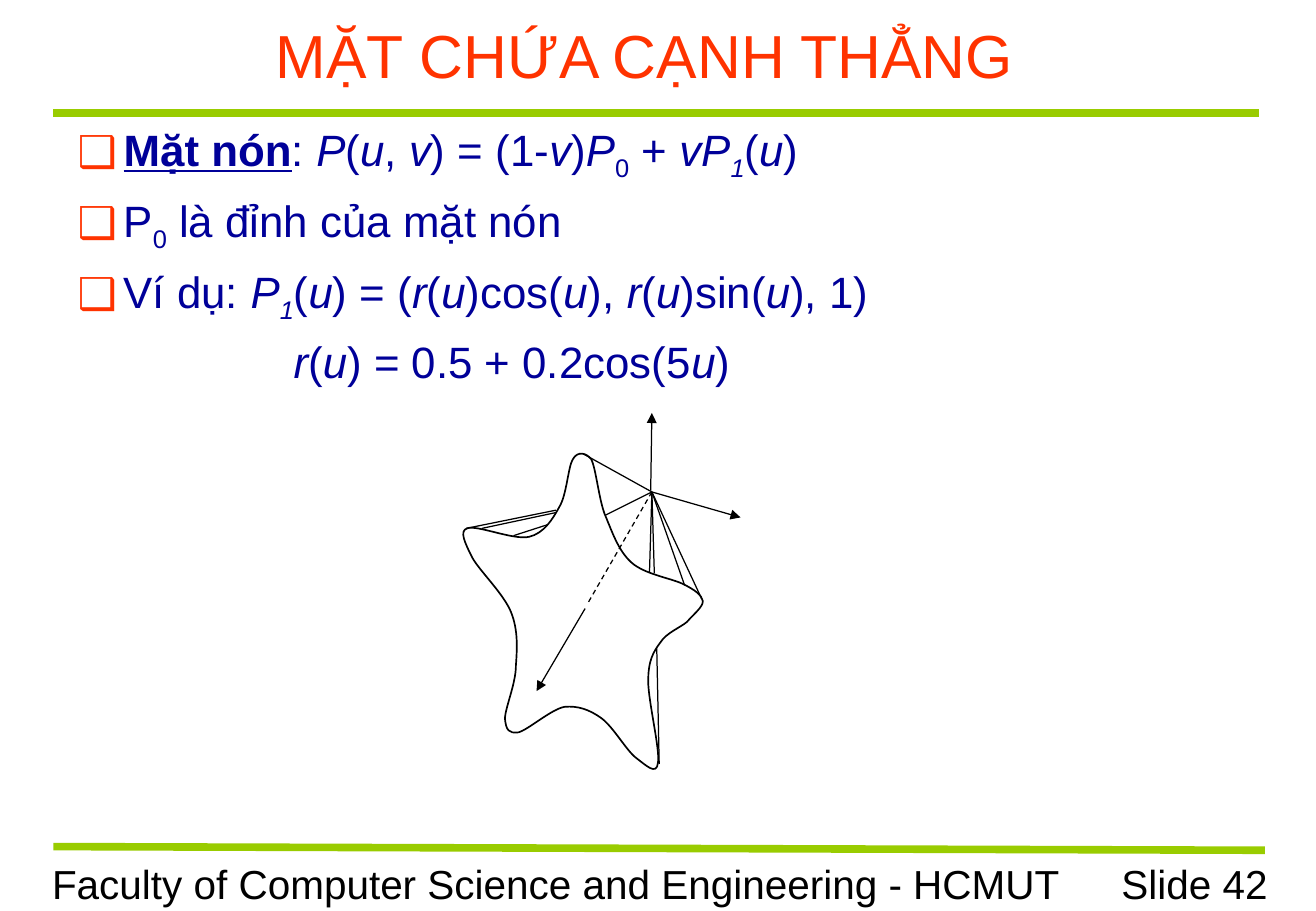
"""Build the slide on conical ruled surfaces."""
import dataclasses

import lxml.etree
import pptx
import pptx.dml.color
import pptx.enum.dml
import pptx.enum.shapes
import pptx.enum.text
import pptx.oxml.ns
import pptx.util

CELL = 0.1
COLUMNS, ROWS = 108.4, 75
ALIGN = pptx.enum.text.PP_ALIGN
ANCHOR = pptx.enum.text.MSO_ANCHOR


@dataclasses.dataclass(frozen=True)
class Theme:
    """Colours, type sizes and line widths of the slide."""
    font: str = "Arial"
    title: str = "FF3300"
    body: str = "000099"
    ink: str = "000000"
    rule: str = "99CC00"
    title_size: float = 36
    body_size: float = 26
    footer_size: float = 24
    rule_width: float = 4.5
    outline_width: float = 1
    line_width: float = 0.75


THEME = Theme()

BODY = [
    "#Mặt nón#: *P*(*u*, *v*) = (1-*v*)*P*_0_ + *vP_1_*(*u*)",
    "P_0_ là đỉnh của mặt nón",
    "Ví dụ: *P_1_*(*u*) = (*r*(*u*)cos(*u*), *r*(*u*)sin(*u*), 1)",
]
RADIUS = "*r*(*u*) = 0.5 + 0.2cos(5*u*)"

STAR_START = (48.7, 37.8)
STAR_CURVES = [
    ((49.1, 38.6), (49.3, 40.9), (49.8, 42.3)),
    ((50.4, 43.7), (50.9, 45.3), (52, 46.3)),
    ((53.1, 47.3), (55.3, 47.6), (56.3, 48.1)),
    ((57.3, 48.6), (57.8, 49), (57.9, 49.5)),
    ((57.9, 50), (57.1, 50.6), (56.6, 51.2)),
    ((56, 51.7), (54.9, 52.1), (54.4, 52.9)),
    ((53.8, 53.7), (53.4, 54.4), (53.4, 56.1)),
    ((53.4, 57.7), (54.4, 61.8), (54.2, 62.8)),
    ((54.1, 63.9), (53.2, 63), (52.4, 62.4)),
    ((51.6, 61.8), (50.5, 59.8), (49.5, 59.1)),
    ((48.5, 58.4), (47.6, 58.1), (46.5, 58.2)),
    ((45.4, 58.4), (43.5, 60.1), (42.7, 60.3)),
    ((41.9, 60.4), (41.7, 60.1), (41.6, 59.2)),
    ((41.6, 58.3), (42.5, 56.3), (42.5, 54.8)),
    ((42.6, 53.4), (42.7, 51.9), (42.1, 50.4)),
    ((41.5, 48.9), (39.5, 47), (38.9, 45.9)),
    ((38.3, 44.7), (37.8, 43.7), (38.5, 43.5)),
    ((39.3, 43.2), (42.3, 44.5), (43.6, 44.2)),
    ((44.8, 43.9), (45.5, 42.8), (46.1, 41.7)),
    ((46.7, 40.7), (46.8, 38.4), (47.2, 37.8)),
    ((47.6, 37.1), (48.3, 37.3), STAR_START),
]
APEX = (53.7, 40.5)
APEX_RAY_ENDS = [(48.1, 37.4), (49.9, 42.4), (57.8, 49.3), (56.4, 48.2),
                 (53.9, 47.2), (53.5, 47.1)]
HIDDEN_RAYS = [((54.1, 53.4), (54.3, 62.9)), ((45.8, 42), (38.4, 43.5)),
               ((45.8, 42.2), (39.7, 43.5)), ((42.3, 44.1), (45.1, 43.2))]
AXES = [(APEX, (61, 42.6)), ((53.6, 40.4), (53.7, 34)),
        ((48.2, 50.1), (44.2, 56.9))]
HIDDEN_AXIS = (APEX, (48.4, 49.7))


def grid(cells):
    """Return the length of a number of grid cells."""
    return pptx.util.Inches(cells * CELL)


def rgb(colour):
    """Return a colour object for a hex string."""
    return pptx.dml.color.RGBColor.from_string(colour)


def add_element(parent, tag, **attributes):
    """Append a drawing element to its parent."""
    return lxml.etree.SubElement(parent, pptx.oxml.ns.qn(tag), attributes)


def style_font(font, size, colour):
    """Set typeface, size and colour."""
    font.name = THEME.font
    font.size = pptx.util.Pt(size)
    font.color.rgb = rgb(colour)


def add_box(page, left, top, width, height, anchor=ANCHOR.TOP):
    """Add a wrapping text box and return its text frame."""
    frame = page.shapes.add_textbox(*map(grid, (left, top, width, height))).text_frame
    frame.word_wrap = True
    frame.vertical_anchor = anchor
    return frame


def add_label(page, place, text, size, colour, align=ALIGN.LEFT, anchor=ANCHOR.TOP):
    """Add a text box holding one plain line."""
    frame = add_box(page, *place, anchor=anchor)
    frame.text = text
    para = frame.paragraphs[0]
    para.alignment = align
    style_font(para.runs[0].font, size, colour)


def add_formula(para, markup):
    """Write runs: # marks a bold term, * italics and _ a subscript."""
    for term, section in enumerate(markup.split("#")):
        for slant, part in enumerate(section.split("*")):
            for lowered, text in enumerate(part.split("_")):
                if not text:
                    continue
                span = para.add_run()
                span.text = text
                style_font(span.font, THEME.body_size, THEME.body)
                span.font.italic = slant % 2 == 1
                span.font.bold = span.font.underline = term % 2 == 1
                if lowered % 2:
                    span.font._element.set("baseline", "-25000")


def indent(para, margin, first):
    """Set the left margin and the first-line indent."""
    properties = para._p.get_or_add_pPr()
    properties.set("marL", str(grid(margin)))
    properties.set("indent", str(grid(first)))
    return properties


def add_body(page):
    """Add the bulleted formulas and the indented radius."""
    frame = add_box(page, 5.4, 9.6, 97.5, 22.8)
    for index, markup in enumerate(BODY + [RADIUS]):
        para = frame.add_paragraph() if index else frame.paragraphs[0]
        if index:
            para.space_before = pptx.util.Pt(6.5)
        if index < len(BODY):
            properties = indent(para, 3.8, -3.8)
            add_element(add_element(properties, "a:buClr"), "a:srgbClr", val=THEME.title)
            add_element(properties, "a:buFont", typeface=THEME.font)
            add_element(properties, "a:buChar", char="❑")
        else:
            indent(para, 17.8, 0)
        add_formula(para, markup)


def add_line(page, start, end, width=THEME.line_width, colour=THEME.ink,
             arrow=False, dashed=False):
    """Add a straight line, optionally dashed or with an arrowhead."""
    line = page.shapes.add_connector(pptx.enum.shapes.MSO_CONNECTOR.STRAIGHT,
                                     *map(grid, (*start, *end)))
    line.line.width = pptx.util.Pt(width)
    line.line.color.rgb = rgb(colour)
    if dashed:
        line.line.dash_style = pptx.enum.dml.MSO_LINE.DASH
    if arrow:
        add_element(line.line._get_or_add_ln(), "a:tailEnd", type="triangle")
    add_element(line._element.spPr, "a:effectLst")


def add_star(page):
    """Add the closed smooth star that bounds the cone."""
    builder = page.shapes.build_freeform(*map(grid, STAR_START))
    builder.add_line_segments([tuple(map(grid, curve[-1])) for curve in STAR_CURVES])
    star = builder.convert_to_shape()
    segments = list(star._element.iter(pptx.oxml.ns.qn("a:lnTo")))
    for segment, curve in zip(segments, STAR_CURVES):
        bend = add_element(segment.getparent(), "a:cubicBezTo")
        for column, row in curve:
            add_element(bend, "a:pt", x=str(grid(column) - star.left),
                        y=str(grid(row) - star.top))
        segment.getparent().replace(segment, bend)
    add_element(bend.getparent(), "a:close")
    star.shadow.inherit = False
    star.fill.background()
    star.line.color.rgb = rgb(THEME.ink)
    star.line.width = pptx.util.Pt(THEME.outline_width)


def add_cone(page):
    """Add the star, the rays from the apex and the axes."""
    add_star(page)
    for start, end in [(APEX, end) for end in APEX_RAY_ENDS] + HIDDEN_RAYS:
        add_line(page, start, end)
    for start, end in AXES:
        add_line(page, start, end, arrow=True)
    add_line(page, *HIDDEN_AXIS, dashed=True)


def main():
    """Build and save the deck."""
    deck = pptx.Presentation()
    deck.slide_width, deck.slide_height = grid(COLUMNS), grid(ROWS)
    page = deck.slides.add_slide(deck.slide_layouts[6])
    for start, end in [((4.4, 9.3), (103.7, 9.3)), ((4.4, 69.7), (104.2, 70))]:
        add_line(page, start, end, THEME.rule_width, THEME.rule)
    add_label(page, (3.3, 70.2, 85.2, 5), "Faculty of Computer Science and Engineering - HCMUT",
              THEME.footer_size, THEME.ink)
    add_label(page, (85.5, 70.2, 19.9, 5), "Slide 42", THEME.footer_size, THEME.ink, ALIGN.RIGHT)
    add_label(page, (3.3, 1, 99.6, 7), "MẶT CHỨA CẠNH THẲNG", THEME.title_size, THEME.title,
              ALIGN.CENTER, ANCHOR.MIDDLE)
    add_body(page)
    add_cone(page)
    deck.save("out.pptx")


if __name__ == "__main__":
    main()
